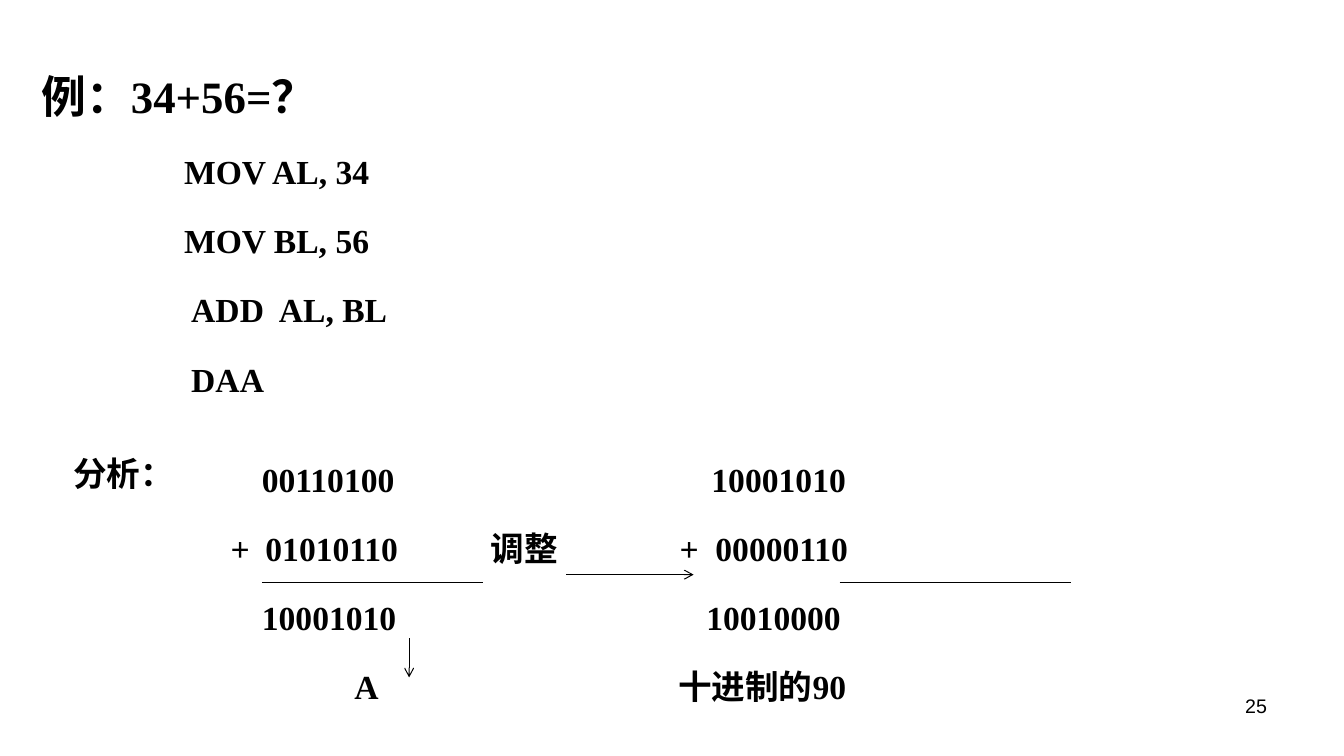
from dataclasses import dataclass

from lxml import etree
from pptx import Presentation
from pptx.dml.color import RGBColor
from pptx.enum.shapes import MSO_CONNECTOR
from pptx.enum.text import MSO_AUTO_SIZE, PP_ALIGN
from pptx.oxml.ns import qn
from pptx.util import Cm, Pt

STRAIGHT = MSO_CONNECTOR.STRAIGHT
FIT_SHAPE = MSO_AUTO_SIZE.SHAPE_TO_FIT_TEXT
LEFT, RIGHT = PP_ALIGN.LEFT, PP_ALIGN.RIGHT


@dataclass(frozen=True)
class Theme:
    ink: RGBColor = RGBColor(0, 0, 0)
    serif: str = "Times New Roman"
    sans: str = "Arial"
    heading: int = 32
    body: int = 24
    number: int = 14
    rule: float = 0.75


THEME = Theme()

# Each row lists (distance from the left inset in cm, text).
PROGRAM = [
    [(0, "例：34+56=？")],
    [(3.6, "MOV AL, 34")],
    [(3.6, "MOV BL, 56")],
    [(3.78, "ADD  AL, BL")],
    [(3.78, "DAA")],
]
ADDITIONS = [
    [(0.79, "00110100"), (12.12, "10001010")],
    [(0, "+"), (0.88, "01010110"), (6.56, "调整"), (11.32, "+"), (12.22, "00000110")],
    [(0.79, "10001010"), (11.99, "10010000")],
    [(3.12, "A"), (11.28, "十进制的90")],
]


def space_before_half_line(paragraph):
    spacing = etree.SubElement(paragraph._p.get_or_add_pPr(), qn("a:spcBef"))
    etree.SubElement(spacing, qn("a:spcPct"), val="50000")


def add_tab_stops(paragraph, positions):
    stops = etree.SubElement(paragraph._p.get_or_add_pPr(), qn("a:tabLst"))
    for position in positions:
        etree.SubElement(stops, qn("a:tab"), pos=str(Cm(position)), algn="l")


def write_text(paragraph, text, *, size=THEME.body, font=THEME.serif, bold=True,
               align=LEFT):
    paragraph.alignment = align
    run = paragraph.add_run()
    run.text = text
    run.font.size = Pt(size)
    run.font.name = font
    run.font.bold = bold
    run.font.color.rgb = THEME.ink


def add_text_frame(slide, left, top, width, height):
    box = slide.shapes.add_textbox(Cm(left), Cm(top), Cm(width), Cm(height))
    box.text_frame.word_wrap = True
    return box.text_frame


def add_rows(slide, left, top, width, height, rows, first_size=THEME.body):
    """Add a text box whose rows are aligned at tab stops."""
    frame = add_text_frame(slide, left, top, width, height)
    frame.auto_size = FIT_SHAPE
    for index, row in enumerate(rows):
        paragraph = frame.add_paragraph() if index else frame.paragraphs[0]
        paragraph.line_spacing = 1.3
        space_before_half_line(paragraph)
        stops = [position for position, _ in row if position]
        if stops:
            add_tab_stops(paragraph, stops)
        text = "".join(("\t" if position else "") + part for position, part in row)
        write_text(paragraph, text, size=THEME.body if index else first_size)


def add_line(slide, start, end, arrow=False):
    line = slide.shapes.add_connector(STRAIGHT, *map(Cm, start + end))
    line.line.color.rgb = THEME.ink
    line.line.width = Pt(THEME.rule)
    if arrow:
        etree.SubElement(line.line._get_or_add_ln(), qn("a:tailEnd"), type="arrow")
    etree.SubElement(line._element.spPr, qn("a:effectLst"))


def main():
    presentation = Presentation()
    presentation.slide_width, presentation.slide_height = Cm(33.87), Cm(19.05)
    slide = presentation.slides.add_slide(presentation.slide_layouts[6])

    add_rows(slide, 0.79, 1.19, 31.9, 9.42, PROGRAM, first_size=THEME.heading)
    add_rows(slide, 5.56, 11.13, 24.61, 7.14, ADDITIONS)

    analysis = add_text_frame(slide, 1.6, 11.3, 3.71, 1.3)
    analysis.auto_size = FIT_SHAPE
    write_text(analysis.paragraphs[0], "分析：", font=THEME.sans)

    sum_line = 14.68
    add_line(slide, (6.6, sum_line), (12.17, sum_line))
    add_line(slide, (21.16, sum_line), (27, sum_line))
    add_line(slide, (10.31, 16.08), (10.31, 17.07), arrow=True)
    add_line(slide, (14.27, 14.48), (17.48, 14.48), arrow=True)

    number = add_text_frame(slide, 24.28, 17.35, 7.9, 1.32)
    write_text(number.paragraphs[0], "25", size=THEME.number, font=THEME.sans,
               bold=False, align=RIGHT)

    presentation.save("out.pptx")


if __name__ == "__main__":
    main()
